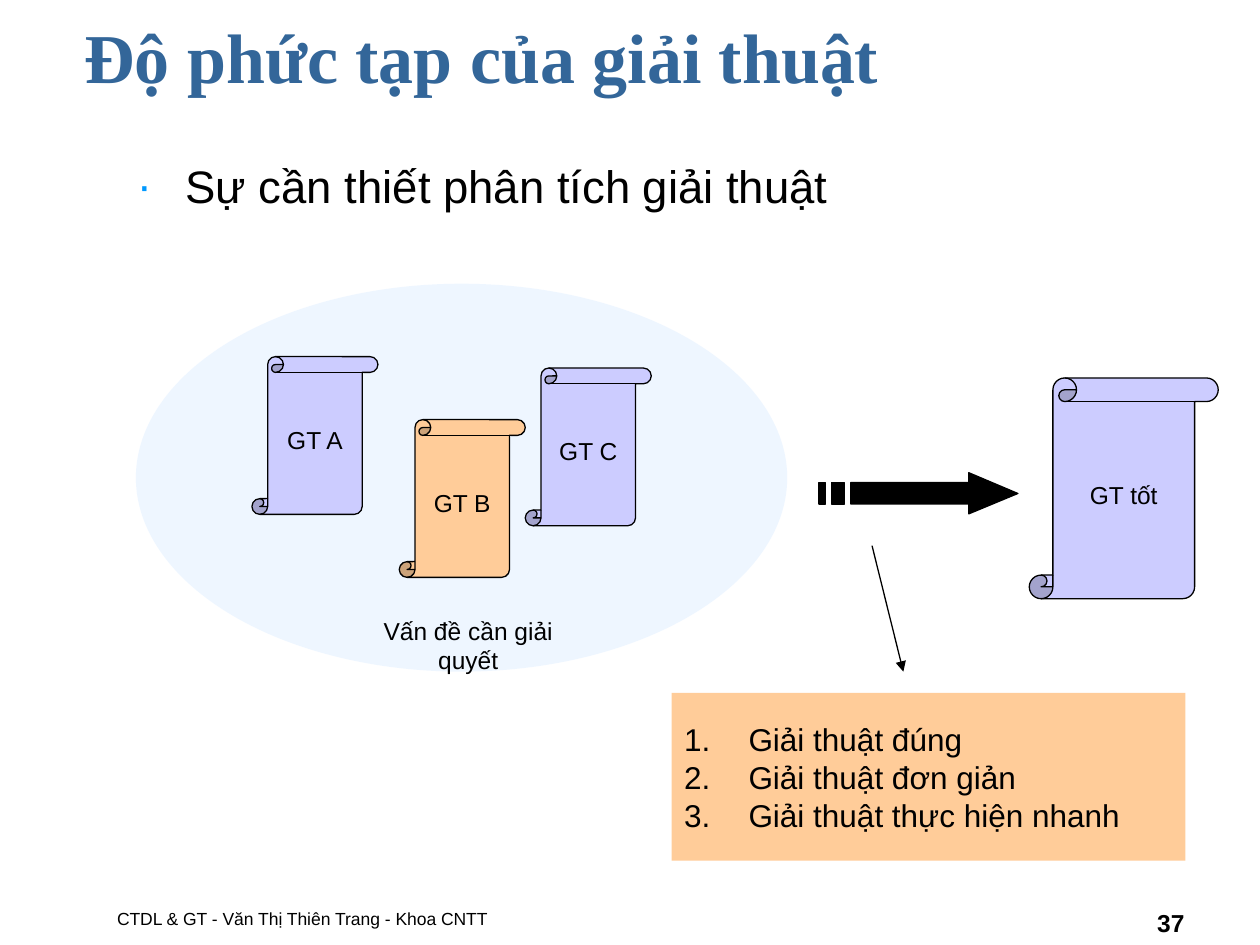
from lxml import etree
from pptx import Presentation
from pptx import util as u
from pptx.dml.color import RGBColor
from pptx.enum import shapes, text
from pptx.oxml import ns

BLACK = RGBColor(0x00, 0x00, 0x00)
TITLE_BLUE = RGBColor(0x33, 0x66, 0x99)
BULLET_BLUE = RGBColor(0x00, 0x99, 0xFF)
SKY = RGBColor(0x99, 0xCC, 0xFF)
LILAC = RGBColor(0xCC, 0xCC, 0xFF)
PEACH = RGBColor(0xFF, 0xCC, 0x99)
SHAPE = shapes.MSO_SHAPE
ALIGN = text.PP_ALIGN
ANCHOR = text.MSO_ANCHOR


def child(parent, tag, **attributes):
    return etree.SubElement(parent, ns.qn(tag), attributes)


def write(frame, content, size=14, font="Arial", color=BLACK, bold=False,
          align=ALIGN.LEFT, anchor=ANCHOR.TOP, bullet=None, indent=0,
          bullet_color=BLACK):
    """Fill a text frame, one paragraph a line; bullet is (tag, attributes)."""
    frame.word_wrap = True
    frame.auto_size = text.MSO_AUTO_SIZE.NONE
    frame.vertical_anchor = anchor
    for number, line in enumerate(content.split("\n")):
        para = frame.add_paragraph() if number else frame.paragraphs[0]
        para.alignment = align
        if bullet:
            tag, attributes = bullet
            properties = para._p.get_or_add_pPr()
            properties.set("marL", str(u.Cm(indent)))
            properties.set("indent", str(-u.Cm(indent)))
            child(child(properties, "a:buClr"), "a:srgbClr", val=str(bullet_color))
            child(properties, "a:buFont", typeface=font)
            child(properties, tag, **attributes)
        span = para.add_run()
        span.text = line
        span.font.size = u.Pt(size)
        span.font.name = font
        span.font.bold = bold
        span.font.color.rgb = color


class SlideBuilder:
    line_width = u.Pt(0.75)

    def __init__(self, slide):
        self.slide = slide
        self.shapes = slide.shapes

    def title(self, content, left, top, width, height, **style):
        box = self.slide.shapes.title
        box.left, box.top = u.Cm(left), u.Cm(top)
        box.width, box.height = u.Cm(width), u.Cm(height)
        write(box.text_frame, content, **style)

    def label(self, content, left, top, width, height, **style):
        box = self.shapes.add_textbox(*map(u.Cm, (left, top, width, height)))
        write(box.text_frame, content, **style)

    def paint(self, shape, fill, outlined):
        shape.shadow.inherit = False
        shape.fill.solid()
        shape.fill.fore_color.rgb = fill
        if outlined:
            shape.line.color.rgb = BLACK
            shape.line.width = self.line_width
        else:
            shape.line.fill.background()

    def shape(self, kind, left, top, width, height, fill, content="",
              outlined=False, opacity=None, **style):
        shape = self.shapes.add_shape(kind, *map(u.Cm, (left, top, width, height)))
        self.paint(shape, fill, outlined)
        if opacity:
            color = shape.fill._xPr.find(".//" + ns.qn("a:srgbClr"))
            child(color, "a:alpha", val=str(opacity * 1000))
        if content:
            write(shape.text_frame, content, anchor=ANCHOR.MIDDLE, **style)

    def scroll(self, content, left, top, width=2.54, height=3.18, fill=LILAC):
        self.shape(SHAPE.VERTICAL_SCROLL, left, top, width, height, fill,
                   content, outlined=True, align=ALIGN.CENTER)

    def outline(self, contours, fill):
        first, *others = [[(u.Cm(x), u.Cm(y)) for x, y in contour]
                          for contour in contours]
        builder = self.shapes.build_freeform(*first[0])
        builder.add_line_segments(first[1:])
        for contour in others:
            builder.move_to(*contour[0])
            builder.add_line_segments(contour[1:])
        self.paint(builder.convert_to_shape(), fill, outlined=True)

    def arrow(self, *ends):
        connector = self.shapes.add_connector(
            shapes.MSO_CONNECTOR.STRAIGHT, *map(u.Cm, ends))
        connector.line.color.rgb = BLACK
        connector.line.width = self.line_width
        child(connector.line._get_or_add_ln(), "a:tailEnd", type="triangle")
        child(connector._element.spPr, "a:effectLst")


def striped_arrow(builder):
    top, upper, middle, lower, bottom = 9.53, 9.73, 9.95, 10.16, 10.36
    neck, tip = 19.53, 20.52
    head = [(neck, top), (neck, upper), (17.15, upper), (17.15, lower),
            (neck, lower), (neck, bottom), (tip, middle), (neck, top)]
    stripes = [[(left, upper), (left, lower), (right, lower), (right, upper),
                (left, upper)] for left, right in ((16.76, 17.02), (16.51, 16.64))]
    builder.outline([head, *stripes], BLACK)


def main():
    deck = Presentation()
    deck.slide_width, deck.slide_height = u.Cm(25.4), u.Cm(19.05)
    page = deck.slides.add_slide(deck.slide_layouts[5])
    builder = SlideBuilder(page)

    # Footer and page number
    builder.label("CTDL & GT - Văn Thị Thiên Trang - Khoa CNTT",
                  2.11, 17.58, 15.44, 1.27, size=10, anchor=ANCHOR.BOTTOM)
    builder.label("37", 18.21, 17.75, 5.92, 1.27, bold=True,
                  align=ALIGN.RIGHT, anchor=ANCHOR.BOTTOM)

    # Title and topic
    builder.title("Độ phức tạp của giải thuật", 1.45, 0.15, 22.86, 2.18,
                  size=40, font="Times New Roman", color=TITLE_BLUE, bold=True)
    builder.label("Sự cần thiết phân tích giải thuật", 2.54, 3.07, 21.79, 14.48,
                  size=26, align=ALIGN.JUSTIFY, indent=0.95,
                  bullet=("a:buChar", {"char": "∙"}), bullet_color=BULLET_BLUE)

    # Problem with its candidate algorithms, kept in one group
    builder.shapes = page.shapes.add_group_shape().shapes
    builder.shape(SHAPE.OVAL, 2.74, 5.72, 13.13, 7.82, SKY, opacity=16)
    builder.scroll("GT A", 5.08, 7.19)
    builder.scroll("GT B", 8.05, 8.46, fill=PEACH)
    builder.scroll("GT C", 10.59, 7.42)
    builder.label("Vấn đề cần giải quyết", 6.81, 12.29, 5.26, 0.84,
                  align=ALIGN.CENTER)
    builder.shapes = page.shapes

    # Choice of the good algorithm
    striped_arrow(builder)
    builder.scroll("GT tốt", 20.75, 7.62, 3.81, 4.45)

    # Criteria
    builder.shape(SHAPE.RECTANGLE, 13.54, 13.97, 10.36, 3.38, PEACH,
                  "Giải thuật đúng\nGiải thuật đơn giản\nGiải thuật thực hiện nhanh",
                  size=18, indent=1.3,
                  bullet=("a:buAutoNum", {"type": "arabicPeriod"}))
    builder.arrow(17.58, 11, 18.21, 13.54)

    deck.save("out.pptx")


if __name__ == "__main__":
    main()
